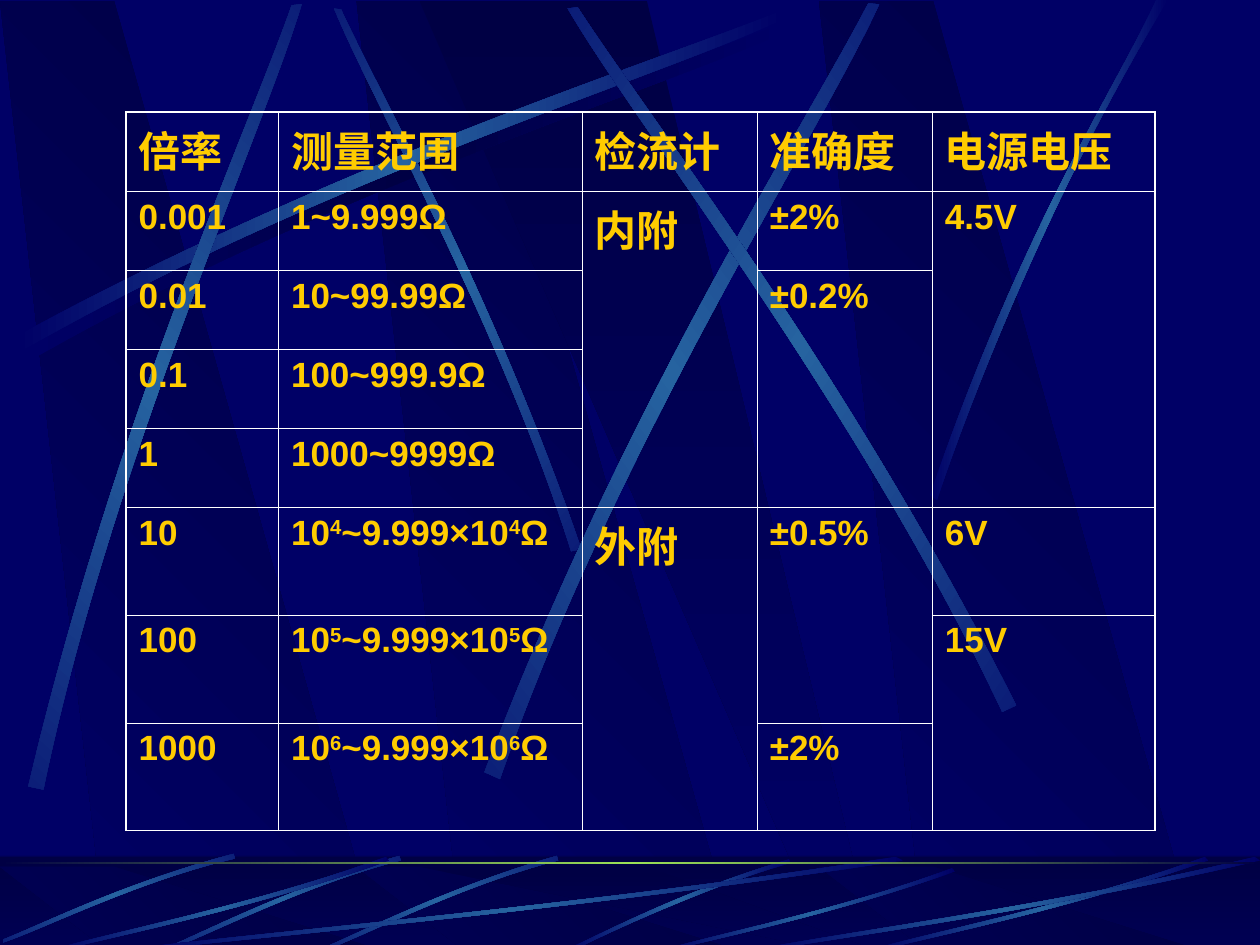
from dataclasses import dataclass

from lxml import etree
from pptx import Presentation
from pptx.dml.color import RGBColor
from pptx.enum.shapes import MSO_SHAPE
from pptx.oxml.ns import qn
from pptx.util import Inches, Pt

RECTANGLE = MSO_SHAPE.RECTANGLE
NAVY = RGBColor(0x00, 0x00, 0x66)
DARK = RGBColor(0x00, 0x00, 0x44)
STEEL = RGBColor(0x26, 0x63, 0xA0)
LIME = RGBColor(0x9C, 0xE1, 0x57)
GOLD = RGBColor(0xFF, 0xCC, 0x00)
WHITE = RGBColor(0xFF, 0xFF, 0xFF)
FONT = "Arial"

FADE = (DARK, NAVY)
GLOW = (NAVY, STEEL, NAVY)
SHADE = (NAVY, DARK, NAVY)
RULE = (DARK, LIME, DARK)

# Outlines as fractions of their frame
PANEL = [(0.28, 1), (1, 1), (0.3, 0), (0, 0)]
WIDE_PANEL = [(0, 0), (0.9, 1), (1, 1), (0.5, 0)]
# Curved outlines: one cubic curve out (four points) and one back
STREAK = [(0, 0.96), (0.43, 0.43), (0.83, 0.15), (0.99, 0),
          (1, 0.02), (0.84, 0.19), (0.39, 0.5), (0.01, 1)]
BLADE = [(0, 0.99), (0.4, 0.44), (0.79, 0.17), (0.95, 0),
         (1, 0), (0.52, 0.37), (0.16, 0.81), (0.03, 1)]
SHORT_BLADE = [(0.99, 0), (0.49, 0.37), (0.16, 0.82), (0, 0.99),
               (0.03, 1), (0.23, 0.75), (0.68, 0.25), (1, 0.04)]


@dataclass
class Ribbon:
    outline: list
    left: float
    top: float
    width: float
    height: float
    colors: tuple = GLOW
    angle: float = 180
    rotation: float = 0
    flip_x: bool = False
    flip_y: bool = False


@dataclass
class Block:
    top: float
    height: float
    colors: tuple
    angle: float


@dataclass
class TextRun:
    text: str
    superscript: bool = False


@dataclass
class Entry:
    row: int
    column: int
    runs: list
    row_span: int = 1


def set_gradient(shape, colors: tuple, angle: float) -> None:
    """Spread the colours evenly, with the angle counted clockwise."""
    shape.fill.gradient()
    shape.fill.gradient_angle = (360 - angle) % 360
    stops = shape._element.spPr.find(qn("a:gradFill")).find(qn("a:gsLst"))
    stops.clear()
    for index, color in enumerate(colors):
        position = 100000 * index // (len(colors) - 1)
        stop = etree.SubElement(stops, qn("a:gs"), pos=str(position))
        etree.SubElement(stop, qn("a:srgbClr"), val=str(color))


def bend(shape) -> None:
    """Turn the two outer triples of line segments into cubic curves."""
    lines = list(shape._element.iter(qn("a:lnTo")))
    for triple in (lines[:3], lines[4:7]):
        cubic = etree.Element(qn("a:cubicBezTo"))
        triple[0].addprevious(cubic)
        for line in triple:
            cubic.append(line[0])
            line.getparent().remove(line)


def draw_ribbon(shapes, ribbon: Ribbon) -> None:
    points = []
    for x, y in ribbon.outline:
        x = 1 - x if ribbon.flip_x else x
        y = 1 - y if ribbon.flip_y else y
        points.append((Inches(ribbon.left + x * ribbon.width),
                       Inches(ribbon.top + y * ribbon.height)))
    builder = shapes.build_freeform(*points[0])
    builder.add_line_segments(points[1:], close=True)
    shape = builder.convert_to_shape()
    if len(points) == 8:
        bend(shape)
    shape.rotation = ribbon.rotation
    shape.shadow.inherit = False
    shape.line.fill.background()
    set_gradient(shape, ribbon.colors, ribbon.angle)


def draw_block(shapes, block: Block):
    shape = shapes.add_shape(RECTANGLE, 0, Inches(block.top),
                             Inches(10), Inches(block.height))
    shape.shadow.inherit = False
    shape.line.fill.background()
    set_gradient(shape, block.colors, block.angle)
    return shape


def draw_panels(shapes, top: float, height: float) -> None:
    for left in (2.83, 0, 6.5):
        draw_ribbon(shapes, Ribbon(PANEL, left, top, 3.02, height, FADE, 135))
    draw_ribbon(shapes, Ribbon(WIDE_PANEL, 3.33, top, 3.61, height, FADE, 90))


def set_borders(cell, widths: dict) -> None:
    properties = cell._tc.get_or_add_tcPr()
    for side, width in widths.items():
        line = etree.SubElement(properties, qn(f"a:ln{side}"), w=str(Pt(width)))
        fill = etree.SubElement(line, qn("a:solidFill"))
        etree.SubElement(fill, qn("a:srgbClr"), val=str(WHITE))


def write_entry(table, entry: Entry) -> None:
    cell = table.cell(entry.row, entry.column)
    if entry.row_span > 1:
        cell.merge(table.cell(entry.row + entry.row_span - 1, entry.column))
    size = 24 if entry.row == 0 or entry.column == 2 else 20
    paragraph = cell.text_frame.paragraphs[0]
    paragraph.space_before = Pt(size / 4)
    for part in entry.runs:
        run = paragraph.add_run()
        run.text = part.text
        run.font.name = FONT
        run.font.size = Pt(size)
        run.font.bold = True
        run.font.color.rgb = GOLD
        if part.superscript:
            run._r.get_or_add_rPr().set("baseline", "30000")


def power_range(exponent: str) -> list:
    return [TextRun("10"), TextRun(exponent, True), TextRun("~9.999×10"),
            TextRun(exponent, True), TextRun("Ω")]


UPPER_STREAKS = [
    Ribbon(STREAK, 0.2, 0.18, 6.08, 2.67, SHADE),
    Ribbon(STREAK, 1.41, 1.35, 4.42, 1.75, rotation=45, flip_x=True),
    Ribbon(STREAK, 0.14, 0.1, 6.08, 2.67),
    Ribbon(STREAK, -1.71, 1.82, 6.08, 2.67, rotation=311.7),
    Ribbon(STREAK, 2.31, 1.6, 6.24, 3.01, rotation=321.6),
    Ribbon(STREAK, 3.23, 1.52, 6.08, 2.67, rotation=34.8, flip_x=True),
    Ribbon(BLADE, 7.38, 0, 1.89, 3.97),
]
TILTED_FRAMES = [(2.58, 6.76, 1.84, 0.83), (1.33, 6.76, 1.84, 0.83),
                 (0.05, 6.71, 1.79, 0.85)]
LOW_FRAMES = [(1, 6.8, 6.17, 0.75), (0.42, 6.8, 2.67, 0.75), (5.27, 6.89, 2.31, 0.66),
              (6.92, 6.8, 2.67, 0.75), (6, 6.8, 4, 0.75)]
FOOTER_STREAKS = (
    [Ribbon(SHORT_BLADE, 4.48, 6.82, 1.8, 0.73)]
    + [Ribbon(STREAK, *frame, rotation=314.9, flip_x=True) for frame in TILTED_FRAMES]
    + [Ribbon(STREAK, *frame, flip_x=True, flip_y=True) for frame in LOW_FRAMES])

COLUMN_WIDTHS = [1.21, 2.41, 1.39, 1.39, 1.77]
ROW_POINTS = [45.15] * 5 + [61.7, 61.7, 61.4]
HEADERS = ["倍率", "测量范围", "检流计", "准确度", "电源电压"]
RATIOS = ["0.001", "0.01", "0.1", "1", "10", "100", "1000"]
RANGES = ([[TextRun(text)] for text in
           ("1~9.999Ω", "10~99.99Ω", "100~999.9Ω", "1000~9999Ω")]
          + [power_range(exponent) for exponent in "456"])
# Row, column, text, rows spanned
SPANNING = [(1, 2, "内附", 4), (5, 2, "外附", 3),
            (1, 3, "±2%", 1), (2, 3, "±0.2%", 3), (5, 3, "±0.5%", 2), (7, 3, "±2%", 1),
            (1, 4, "4.5V", 4), (5, 4, "6V", 1), (6, 4, "15V", 2)]
ENTRIES = (
    [Entry(0, column, [TextRun(text)]) for column, text in enumerate(HEADERS)]
    + [Entry(row, 0, [TextRun(text)]) for row, text in enumerate(RATIOS, 1)]
    + [Entry(row, 1, runs) for row, runs in enumerate(RANGES, 1)]
    + [Entry(row, column, [TextRun(text)], span) for row, column, text, span in SPANNING])


def draw_table(slide) -> None:
    row_count, column_count = len(ROW_POINTS), len(COLUMN_WIDTHS)
    table = slide.shapes.add_table(row_count, column_count, Inches(1), Inches(0.89),
                                   Inches(sum(COLUMN_WIDTHS)), Pt(sum(ROW_POINTS))).table
    table.first_row = table.horz_banding = False
    for column, width in zip(table.columns, COLUMN_WIDTHS):
        column.width = Inches(width)
    for row, height in zip(table.rows, ROW_POINTS):
        row.height = Pt(height)
    inner, outer = 0.45, 1.08
    for row in range(row_count):
        for column in range(column_count):
            cell = table.cell(row, column)
            set_borders(cell, {"L": outer if column == 0 else inner,
                               "R": outer if column == column_count - 1 else inner,
                               "T": outer if row == 0 else inner,
                               "B": outer if row == row_count - 1 else inner})
            cell.fill.background()
    for entry in ENTRIES:
        write_entry(table, entry)


def draw_backdrop(slide, master) -> None:
    """Build the decoration as one group and hand it to the slide master."""
    group = slide.shapes.add_group_shape()
    shapes = group.shapes
    draw_panels(shapes, 0.01, 7.52)
    for ribbon in UPPER_STREAKS:
        draw_ribbon(shapes, ribbon)

    # Footer band, dimmed by a half-transparent veil
    draw_block(shapes, Block(6.8, 0.75, FADE, 90))
    draw_panels(shapes, 6.88, 0.66)
    veil = draw_block(shapes, Block(6.79, 0.75, FADE, 90))
    veil.fill.solid()
    veil.fill.fore_color.rgb = DARK
    veil_color = veil._element.spPr.find(qn("a:solidFill"))[0]
    etree.SubElement(veil_color, qn("a:alpha"), val="50000")
    for ribbon in FOOTER_STREAKS:
        draw_ribbon(shapes, ribbon)
    draw_block(shapes, Block(6.84, 0.02, RULE, 180))

    # Keep identifiers clear of the master's placeholders
    for number, properties in enumerate(group._element.iter(qn("p:cNvPr")), 100):
        properties.set("id", str(number))
    master.shapes._spTree.insert(2, group._element)


def main() -> None:
    presentation = Presentation()
    presentation.slide_width, presentation.slide_height = Inches(10), Inches(7.5)
    master = presentation.slide_master
    master.background.fill.solid()
    master.background.fill.fore_color.rgb = NAVY
    slide = presentation.slides.add_slide(presentation.slide_layouts[6])
    draw_backdrop(slide, master)
    draw_table(slide)
    presentation.save("out.pptx")


if __name__ == "__main__":
    main()
